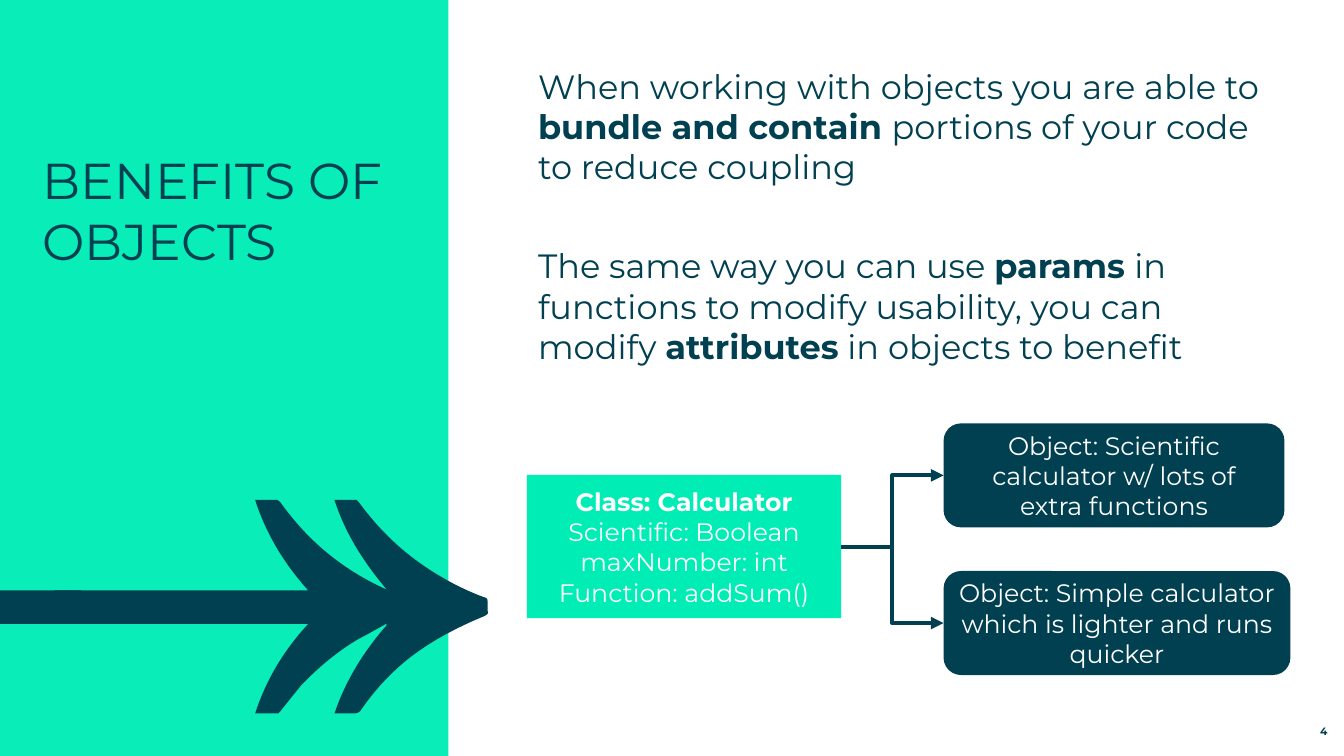
from lxml import etree
from pptx import Presentation
from pptx import util as u
from pptx.dml.color import RGBColor
from pptx.enum import shapes, text
from pptx.oxml.ns import qn

Cm, Pt = u.Cm, u.Pt
KIND, ALIGN, ANCHOR = shapes.MSO_SHAPE, text.PP_ALIGN, text.MSO_ANCHOR
FONT = "Montserrat"
MINT, LIME, NAVY, WHITE = "09EDB8", "00EDB5", "004050", "FFFFFF"

# Content: **...** marks bold; boxes are left, top, width, height in cm
TITLE = ["BENEFITS OF OBJECTS"]
BODY = [
    "When working with objects you are able to **bundle and contain **"
    "portions of your code to reduce coupling",
    "The same way you can use **params **in functions to modify usability, "
    "you can modify **attributes** in objects to benefit",
]
PAGE = ["**4**"]
CLASS_LINES = ["**Class: Calculator**",
               "Scientific: Boolean\nmaxNumber: int",
               "Function: addSum()"]
OBJECTS = [
    ("Object: Scientific calculator w/ lots of extra functions",
     (23.78, 10.67, 8.59, 2.62)),
    ("Object: Simple calculator which is lighter and runs quicker",
     (23.78, 14.39, 8.74, 2.62)),
]

# Arrow outline in cm: two numbers are a line, six a Bezier curve
ARROW = [
    (1.37, 15.72), (1.37, 14.88), (7.77, 14.88),
    (7.16, 14.2, 6.71, 13.46, 6.43, 12.6), (6.99, 12.6), (7.06, 12.65),
    (7.39, 13.11, 7.77, 13.54, 8.23, 13.92),
    (8.69, 14.3, 9.19, 14.61, 9.75, 14.86),
    (9.17, 14.17, 8.71, 13.46, 8.43, 12.6), (8.99, 12.6), (9.04, 12.65),
    (9.45, 13.21, 9.91, 13.69, 10.46, 14.1),
    (10.97, 14.48, 11.56, 14.81, 12.17, 15.04),
    (12.27, 15.06, 12.32, 15.11, 12.29, 15.16), (12.29, 15.39),
    (12.32, 15.47, 12.27, 15.49, 12.22, 15.52),
    (11.66, 15.75, 11.1, 16.03, 10.62, 16.36),
    (10.03, 16.76, 9.53, 17.27, 9.12, 17.86),
    (9.07, 17.96, 8.99, 17.98, 8.89, 17.98), (8.43, 17.98),
    (8.71, 17.15, 9.17, 16.41, 9.75, 15.75), (9.73, 15.72),
    (9.5, 15.85, 9.27, 15.98, 9.04, 16.1),
    (8.51, 16.41, 8.03, 16.81, 7.59, 17.27),
    (7.42, 17.48, 7.24, 17.7, 7.06, 17.93), (7.01, 17.98), (6.43, 17.98),
    (6.71, 17.12, 7.16, 16.38, 7.77, 15.72),
]


def rgb(color):
    return RGBColor.from_string(color)


def paint(sp, color):
    sp.shadow.inherit = False
    sp.fill.solid()
    sp.fill.fore_color.rgb = rgb(color)
    sp.line.fill.background()


def write(sp, paragraphs, size=18, color=NAVY, align=ALIGN.LEFT,
          anchor=ANCHOR.TOP, gap=0, inset=None):
    tf = sp.text_frame
    tf.word_wrap = True
    tf.vertical_anchor = anchor
    if inset is not None:
        tf.margin_left = tf.margin_right = Cm(inset)
        tf.margin_top = tf.margin_bottom = Cm(inset)
    for i, content in enumerate(paragraphs):
        p = tf.paragraphs[0] if i == 0 else tf.add_paragraph()
        p.alignment = align
        p.space_after = Pt(gap)
        for j, part in enumerate(content.split("**")):
            for n, line in enumerate(part.split("\n")):
                if n:
                    p.add_line_break()
                if line:
                    r = p.add_run()
                    r.text = line
                    r.font.name, r.font.size = FONT, Pt(size)
                    r.font.bold = j % 2 == 1
                    r.font.color.rgb = rgb(color)


def add_box(kind, box, color, paragraphs=()):
    sp = slide.shapes.add_shape(kind, *map(Cm, box))
    paint(sp, color)
    if paragraphs:
        write(sp, paragraphs, color=WHITE, align=ALIGN.CENTER,
              anchor=ANCHOR.MIDDLE)
    return sp


def add_text(box, paragraphs, **fmt):
    write(slide.shapes.add_textbox(*map(Cm, box)), paragraphs, inset=0, **fmt)


def add_outline(outline, color):
    ends = [(Cm(seg[-2]), Cm(seg[-1])) for seg in outline]
    builder = slide.shapes.build_freeform(*ends[0])
    builder.add_line_segments(ends[1:], close=True)
    sp = builder.convert_to_shape()
    paint(sp, color)
    # Turn the six-number segments into curves
    lines = list(sp._element.iter(qn("a:lnTo")))
    for line, seg in zip(lines, outline[1:]):
        if len(seg) == 6:
            curve = etree.Element(qn("a:cubicBezTo"))
            for x, y in zip(seg[::2], seg[1::2]):
                etree.SubElement(curve, qn("a:pt"), x=str(Cm(x) - sp.left),
                                 y=str(Cm(y) - sp.top))
            line.getparent().replace(line, curve)


def link(start, end):
    c = slide.shapes.add_connector(shapes.MSO_CONNECTOR.ELBOW, 0, 0, 0, 0)
    c.begin_connect(start, 3)
    c.end_connect(end, 1)
    c.line.color.rgb = rgb(NAVY)
    c.line.width = Pt(3)
    etree.SubElement(c.line._get_or_add_ln(), qn("a:tailEnd"), type="triangle")
    etree.SubElement(c._element.spPr, qn("a:effectLst"))


prs = Presentation()
prs.slide_width, prs.slide_height = Cm(33.87), Cm(19.05)
slide = prs.slides.add_slide(prs.slide_layouts[6])

# Side panel with arrow
add_box(KIND.RECTANGLE, (0, 0, 11.3, 19.05), MINT)
add_outline(ARROW, NAVY)
add_box(KIND.RECTANGLE, (0, 14.88, 2.06, 0.84), NAVY)

# Title, body and page number
add_text((1.07, 3.76, 9.58, 7.65), TITLE, size=36)
add_text((13.56, 1.65, 18.8, 7.85), BODY, size=24, gap=42)
add_text((31.27, 18.08, 2.18, 0.51), PAGE, size=7.6, align=ALIGN.RIGHT,
         anchor=ANCHOR.BOTTOM)

# Class and the objects made from it
class_box = add_box(KIND.RECTANGLE, (13.28, 11.97, 7.92, 3.61), LIME,
                    CLASS_LINES)
for label, box in OBJECTS:
    link(class_box, add_box(KIND.ROUNDED_RECTANGLE, box, NAVY, [label]))

prs.save("out.pptx")
